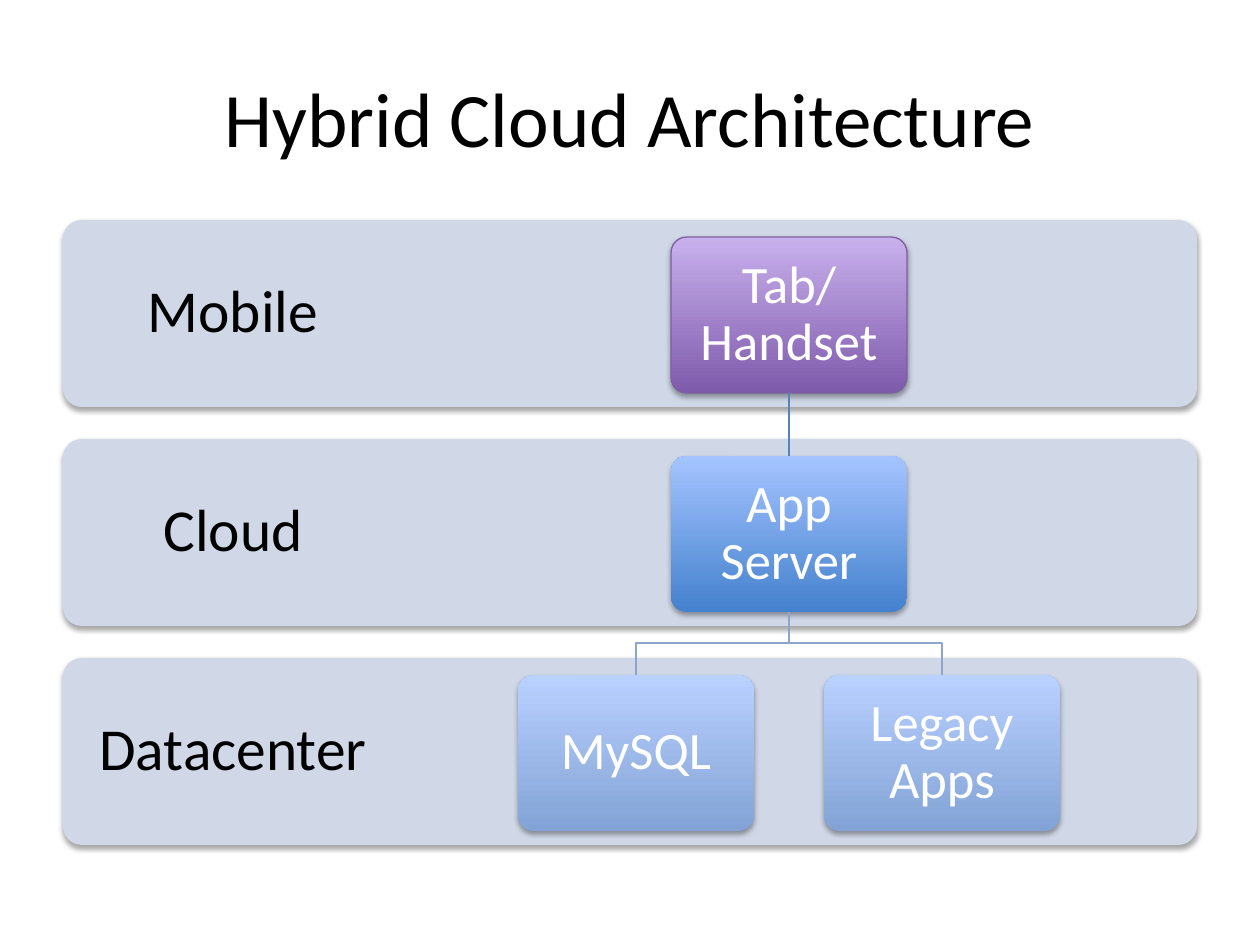
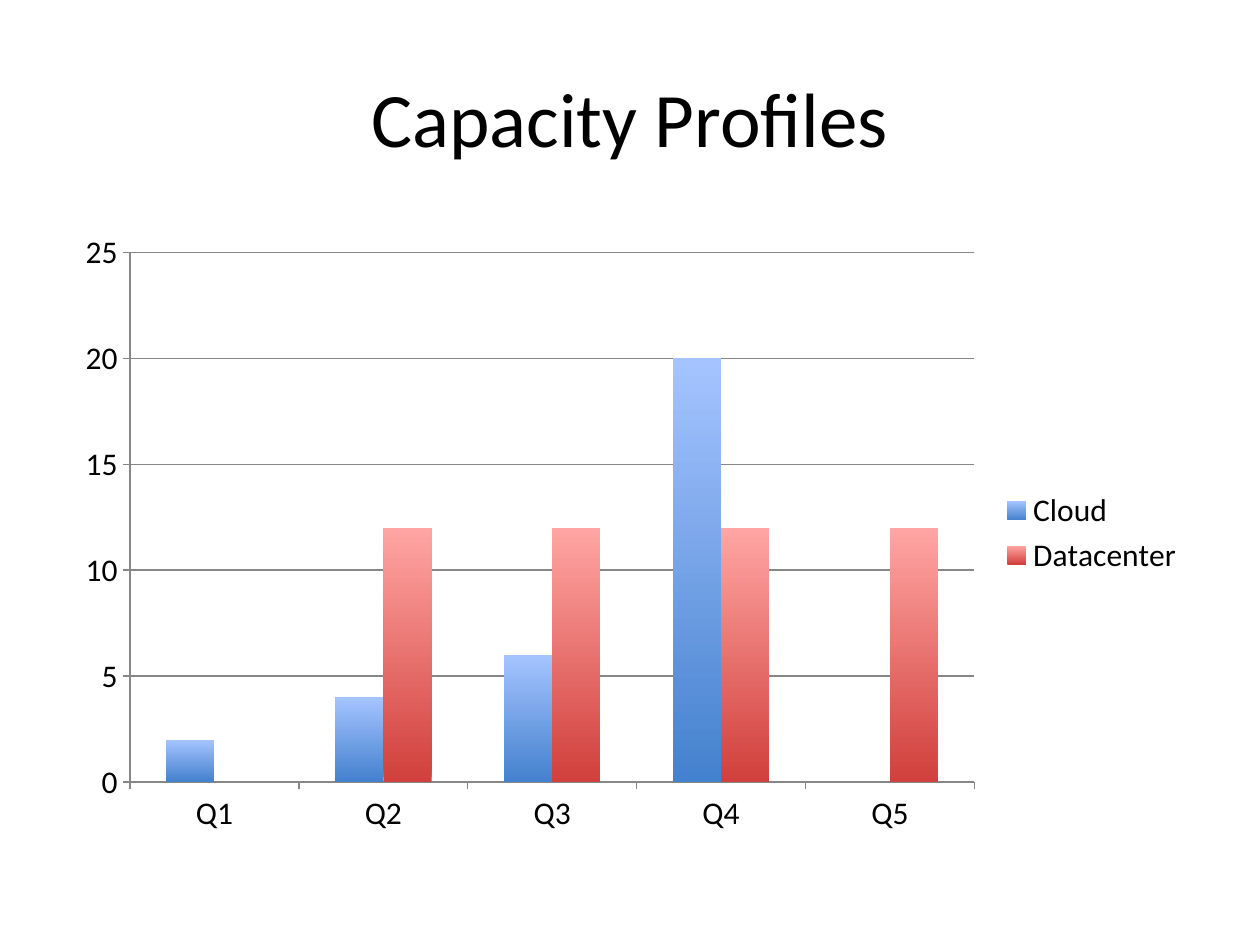
"""Build two slides: a hybrid cloud diagram and a capacity chart."""
from lxml.etree import SubElement
from pptx import Presentation
from pptx.chart.data import CategoryChartData
from pptx.dml.color import RGBColor
from pptx.enum.chart import XL_CHART_TYPE, XL_LEGEND_POSITION
from pptx.enum.shapes import MSO_CONNECTOR, MSO_SHAPE
from pptx.enum.text import MSO_ANCHOR, PP_ALIGN
from pptx.oxml.ns import qn
from pptx.util import Emu, Pt

TITLES = ["Hybrid Cloud Architecture", "Capacity Profiles"]
TIERS = ["Mobile", "Cloud", "Datacenter"]
NODES = [
    ("Tab/Handset", 0, 0, "violet", "edge"),
    ("App Server", 1, 0, "blue", None),
    ("MySQL", 2, -1, "pale", None),
    ("Legacy Apps", 2, 1, "pale", None),
]
QUARTERS = ["Q1", "Q2", "Q3", "Q4", "Q5"]
SERIES = [
    ("Cloud", (2, 4, 6, 20, 0), "blue"),
    ("Datacenter", (0, 12, 12, 12, 12), "red"),
]
COLORS = {
    "black": "000000", "white": "FFFFFF", "band": "D0D8E8", "edge": "7D60A0",
    "link": "5483BE", "branch": "8DA5CC", "grid": "878787",
}
FADES = {
    "violet": ("7F5BAB", "C8B0ED"), "blue": ("4481CE", "A5C4FF"),
    "pale": ("83A3D6", "B9D1FF"), "red": ("D1403C", "FFA5A3"),
}
FONT = "Calibri"
LEFT, WIDE, TOP = 63, 1134, 220
PITCH, BAND, LABEL = 219, 187, 340
MID, STEP, DROP = 789, 153, 17
NODE_W, NODE_H = 236, 156


def px(n):
    return Emu(round(n * 914400 / 126))


def rgb(name):
    return RGBColor.from_string(COLORS[name])


def style(font, size, color="black"):
    font.name, font.size = FONT, Pt(size)
    font.color.rgb = rgb(color)


def write(shape, text, size, color, pads, space=0.9):
    frame = shape.text_frame
    frame.word_wrap = True
    frame.vertical_anchor = MSO_ANCHOR.MIDDLE
    (frame.margin_left, frame.margin_top,
     frame.margin_right, frame.margin_bottom) = map(px, pads)
    para = frame.paragraphs[0]
    para.alignment = PP_ALIGN.CENTER
    para.line_spacing = space
    run = para.add_run()
    run.text = text
    style(run.font, size, color)


def fade(fill, name):
    fill.gradient()
    fill.gradient_angle = 90
    for stop, shade in zip(fill.gradient_stops, FADES[name]):
        stop.color.rgb = RGBColor.from_string(shade)


def stroke(line, name):
    line.color.rgb = rgb(name)
    line.width = Pt(0.75)


def panel(slide, x, y, w, h):
    shape = slide.shapes.add_shape(MSO_SHAPE.ROUNDED_RECTANGLE, *map(px, (x, y, w, h)))
    shape.adjustments[0] = 0.1
    shape.line.fill.background()
    shape.shadow.inherit = False
    glow = SubElement(shape.element.spPr.find(qn("a:effectLst")), qn("a:outerShdw"),
                      blurRad="40000", dist="23000", dir="5400000", rotWithShape="0")
    tone = SubElement(glow, qn("a:srgbClr"), val=COLORS["black"])
    SubElement(tone, qn("a:alpha"), val="35000")
    return shape


def branch(slide, side):
    start = TOP + DROP + PITCH + NODE_H
    end = TOP + DROP + 2 * PITCH
    bend, x = (start + end) // 2, MID + side * STEP
    path = slide.shapes.build_freeform(MID, start, scale=914400 / 126)
    path.add_line_segments([(MID, bend), (x, bend), (x, end)], close=False)
    shape = path.convert_to_shape()
    shape.fill.background()
    stroke(shape.line, "branch")
    shape.shadow.inherit = False


def draw(slide):
    for i, tier in enumerate(TIERS):
        band = panel(slide, LEFT, TOP + i * PITCH, WIDE, BAND)
        band.fill.solid()
        band.fill.fore_color.rgb = rgb("band")
        write(band, tier, 34, "black", (20, 20, WIDE - LABEL + 20, 20))
    boxes = []
    for text, row, side, tint, edge in NODES:
        box = panel(slide, MID + side * STEP - NODE_W // 2,
                    TOP + DROP + row * PITCH, NODE_W, NODE_H)
        fade(box.fill, tint)
        if edge:
            stroke(box.line, edge)
        write(box, text, 30, "white", (19, 19, 19, 19))
        boxes.append(box)
    link = slide.shapes.add_connector(MSO_CONNECTOR.STRAIGHT, 0, 0, 0, 0)
    link.begin_connect(boxes[0], 2)
    link.end_connect(boxes[1], 0)
    stroke(link.line, "link")
    SubElement(link.element.spPr, qn("a:effectLst"))
    for side in (-1, 1):
        branch(slide, side)


def plot(slide):
    data = CategoryChartData()
    data.categories = QUARTERS
    for name, vals, _ in SERIES:
        data.add_series(name, vals)
    chart = slide.shapes.add_chart(XL_CHART_TYPE.COLUMN_CLUSTERED,
                                   *map(px, (LEFT, TOP + 1, WIDE, 624)), data).chart
    style(chart.font, 18)
    chart.has_title = False
    chart.has_legend = True
    chart.legend.position = XL_LEGEND_POSITION.RIGHT
    chart.legend.include_in_layout = False
    bars = chart.plots[0]
    bars.gap_width, bars.overlap, bars.vary_by_categories = 150, 0, False
    for item, (_, _, tint) in zip(bars.series, SERIES):
        fade(item.format.fill, tint)
    axis = chart.value_axis
    axis.minimum_scale, axis.maximum_scale, axis.major_unit = 0, 25, 5
    axis.has_major_gridlines = True
    for part in (axis, axis.major_gridlines, chart.category_axis):
        stroke(part.format.line, "grid")


def main():
    deck = Presentation()
    deck.slide_width, deck.slide_height = px(1260), px(945)
    for title, fill in zip(TITLES, (draw, plot)):
        slide = deck.slides.add_slide(deck.slide_layouts[6])
        head = slide.shapes.add_textbox(*map(px, (LEFT, 38, WIDE, 157)))
        write(head, title, 44, "black", (13, 6, 13, 6), 1.0)
        fill(slide)
    deck.save("out.pptx")


if __name__ == "__main__":
    main()
